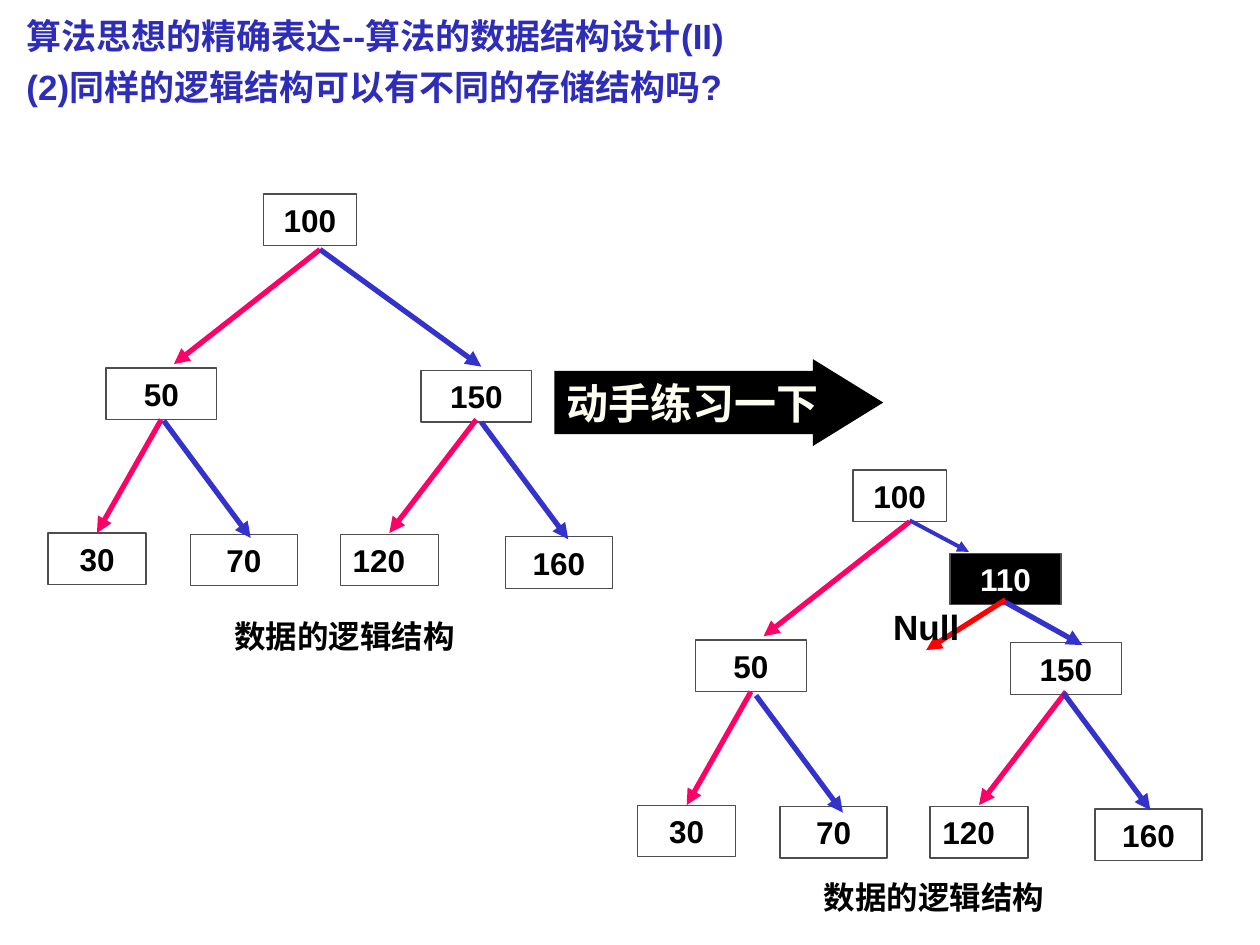
from dataclasses import dataclass

from lxml.etree import SubElement
from pptx import Presentation
from pptx.dml.color import RGBColor
from pptx.enum.shapes import MSO_CONNECTOR, MSO_SHAPE
from pptx.enum.text import MSO_ANCHOR, MSO_AUTO_SIZE, PP_ALIGN
from pptx.oxml.ns import qn
from pptx.util import Inches, Pt


@dataclass(frozen=True)
class Theme:
    font: str = "Arial"
    heading: str = "2D2DB9"
    ink: str = "000000"
    paper: str = "FFFFFF"
    cream: str = "FFFFEF"
    border: str = "4D4D4D"
    left_link: str = "FF0066"
    right_link: str = "3333CC"
    null_link: str = "FF0000"
    heading_size: float = 20
    label_size: float = 18
    banner_size: float = 24
    border_width: float = 0.75
    link_width: float = 3
    thin_link_width: float = 2.25


COLUMNS, ROWS = 100, 75
NODE_HEIGHT = 4.1


class TreeSlide:
    """Draws on one slide; lengths are columns and rows of its grid."""

    def __init__(self, presentation, theme):
        self.theme = theme
        self.column = presentation.slide_width / COLUMNS
        self.row = presentation.slide_height / ROWS
        self.slide = presentation.slides.add_slide(presentation.slide_layouts[5])
        self.shapes = self.slide.shapes

    def place(self, left, top, width, height):
        return (round(left * self.column), round(top * self.row),
                round(width * self.column), round(height * self.row))

    def set_text(self, shape, text, size, color, align=PP_ALIGN.LEFT,
                 anchor=MSO_ANCHOR.TOP, wrap=True, spacing=None):
        frame = shape.text_frame
        frame.text = text
        frame.auto_size = MSO_AUTO_SIZE.NONE
        frame.word_wrap = wrap
        frame.vertical_anchor = anchor
        for paragraph in frame.paragraphs:
            paragraph.alignment = align
            paragraph.line_spacing = spacing
            for run in paragraph.runs:
                run.font.name = self.theme.font
                run.font.size = Pt(size)
                run.font.bold = True
                run.font.color.rgb = RGBColor.from_string(color)

    def title(self, text, *box):
        heading = self.shapes.title
        heading.left, heading.top, heading.width, heading.height = self.place(*box)
        self.set_text(heading, text, self.theme.heading_size, self.theme.heading,
                      wrap=False, spacing=1.2)

    def label(self, text, *box, size=None, wrap=True):
        caption = self.shapes.add_textbox(*self.place(*box))
        self.set_text(caption, text, size or self.theme.label_size,
                      self.theme.ink, wrap=wrap)

    def node(self, value, left, top, width, align=PP_ALIGN.CENTER, inserted=False):
        box = self.shapes.add_shape(
            MSO_SHAPE.RECTANGLE, *self.place(left, top, width, NODE_HEIGHT))
        box.shadow.inherit = False
        if inserted:
            box.fill.solid()
            box.fill.fore_color.rgb = RGBColor.from_string(self.theme.ink)
        else:
            box.fill.background()
        box.line.color.rgb = RGBColor.from_string(self.theme.border)
        box.line.width = Pt(self.theme.border_width)
        color = self.theme.paper if inserted else self.theme.ink
        self.set_text(box, value, self.theme.label_size, color, align,
                      MSO_ANCHOR.MIDDLE)

    def link(self, color, x1, y1, x2, y2, width=None):
        """Arrow from a parent to its child."""
        arrow = self.shapes.add_connector(
            MSO_CONNECTOR.STRAIGHT, *self.place(x1, y1, x2, y2))
        arrow.line.color.rgb = RGBColor.from_string(color)
        arrow.line.width = Pt(width or self.theme.link_width)
        properties = arrow._element.spPr
        SubElement(properties.find(qn("a:ln")), qn("a:tailEnd"), type="triangle")
        SubElement(properties, qn("a:effectLst"))

    def banner(self, text, *box):
        arrow = self.shapes.add_shape(MSO_SHAPE.RIGHT_ARROW, *self.place(*box))
        arrow.adjustments[0], arrow.adjustments[1] = 0.727, 0.809
        arrow.shadow.inherit = False
        arrow.fill.solid()
        arrow.fill.fore_color.rgb = RGBColor.from_string(self.theme.ink)
        arrow.line.fill.background()
        self.set_text(arrow, text, self.theme.banner_size, self.theme.cream,
                      anchor=MSO_ANCHOR.MIDDLE)


# Nodes below the root: value, left, top, width, alignment
BRANCHES = [
    ("50", 8.4, 29.2, 8.8, PP_ALIGN.CENTER),
    ("150", 33.4, 29.4, 8.8, PP_ALIGN.CENTER),
    ("30", 3.8, 42.3, 7.8, PP_ALIGN.CENTER),
    ("70", 15.1, 42.4, 8.5, PP_ALIGN.CENTER),
    ("120", 27, 42.4, 7.8, PP_ALIGN.LEFT),
    ("160", 40.1, 42.6, 8.5, PP_ALIGN.CENTER),
]
# Links to left children, shared by both trees
LEFT_LINKS = [
    (25.4, 19.8, 13.8, 28.9),
    (12.8, 33.3, 7.7, 42.3),
    (37.8, 33.3, 30.9, 42.3),
]
# Start points of the links to the leaves 70 and 160, tree by tree
RIGHT_STARTS = [
    [(13, 33.4), (38.2, 33.5)],
    [(60, 55.2), (84.4, 55)],
]
RIGHT_STEP = (6.9, 9.3)
TREE_OFFSETS = [(0, 0), (46.8, 21.6)]
ROOT_TOPS = [15.4, 37.3]
CAPTION_TOPS = [48.5, 69.2]


def draw_tree(page, offset, root_top, right_starts, caption_top):
    dx, dy = offset
    theme = page.theme
    page.node("100", 20.9 + dx, root_top, 7.4)
    for value, left, top, width, align in BRANCHES:
        page.node(value, left + dx, top + dy, width, align)
    for x1, y1, x2, y2 in LEFT_LINKS:
        page.link(theme.left_link, x1 + dx, y1 + dy, x2 + dx, y2 + dy)
    for x, y in right_starts:
        page.link(theme.right_link, x, y, x + RIGHT_STEP[0], y + RIGHT_STEP[1])
    page.label("数据的逻辑结构", 17.6 + dx, caption_top, 20.9, 4)


def main():
    presentation = Presentation()
    presentation.slide_width, presentation.slide_height = Inches(10), Inches(7.5)
    theme = Theme()
    page = TreeSlide(presentation, theme)

    page.title("算法思想的精确表达--算法的数据结构设计(II)\n"
               "(2)同样的逻辑结构可以有不同的存储结构吗?", 1.1, 0, 59.3, 9)

    # The tree before and after the insertion
    for tree in zip(TREE_OFFSETS, ROOT_TOPS, RIGHT_STARTS, CAPTION_TOPS):
        draw_tree(page, *tree)
    page.link(theme.right_link, 25.4, 19.8, 38.2, 29.1)

    # Inserted node with its empty left child
    page.node("110", 75.4, 43.9, 8.8, inserted=True)
    page.link(theme.right_link, 72.2, 41.3, 76.9, 43.8, theme.thin_link_width)
    page.link(theme.right_link, 79.8, 47.8, 85.9, 51.2)
    page.link(theme.null_link, 79.8, 47.6, 73.5, 51.6)
    page.label("Null", 69.9, 47.6, 7.2, 4.4, size=theme.heading_size, wrap=False)

    # Call to practise
    page.banner("动手练习一下", 44, 28.5, 26.1, 6.9)

    presentation.save("out.pptx")


if __name__ == "__main__":
    main()
